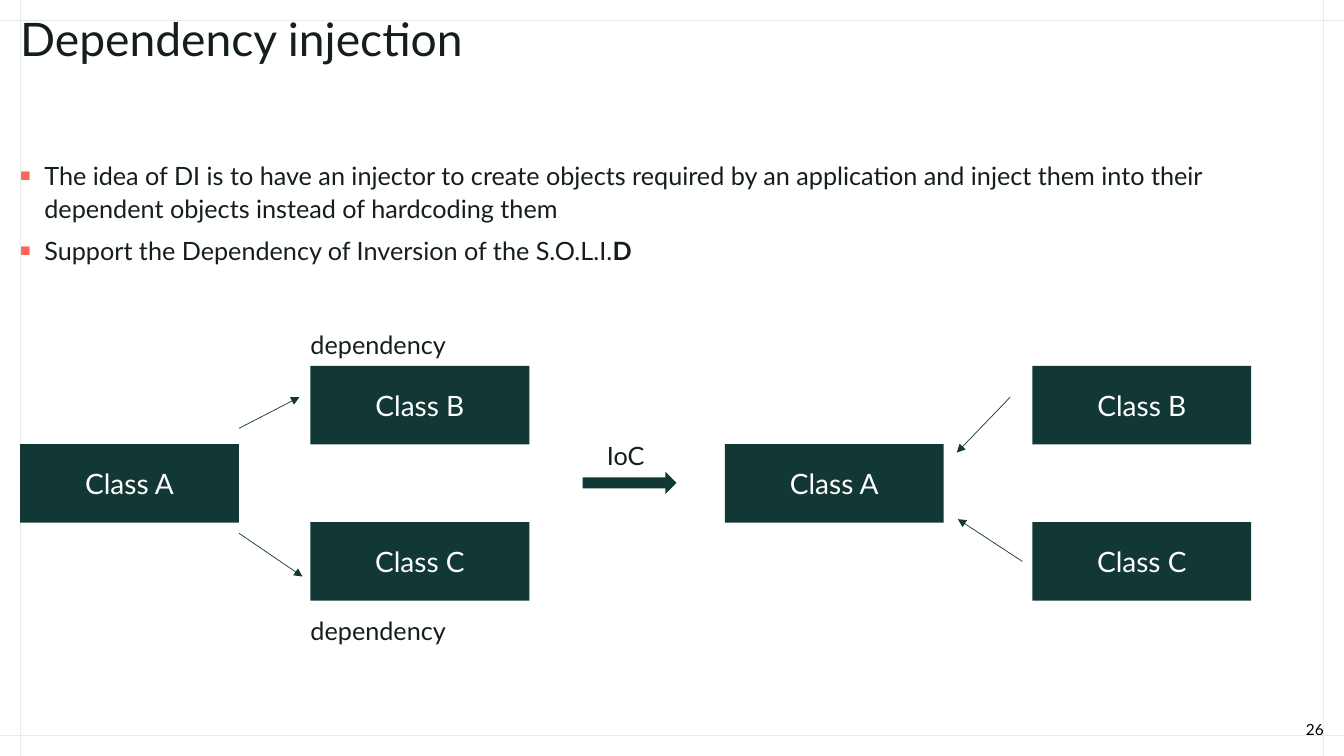
import pptx
import pptx.dml.color
import pptx.enum.shapes
import pptx.enum.text
import pptx.oxml
import pptx.oxml.ns
import pptx.util
from pptx.util import Inches

RGBColor = pptx.dml.color.RGBColor
Shape = pptx.enum.shapes.MSO_SHAPE
Align = pptx.enum.text.PP_ALIGN
Anchor = pptx.enum.text.MSO_ANCHOR

INK = RGBColor(0x14, 0x1E, 0x1E)
GREEN = RGBColor(0x12, 0x38, 0x36)
CORAL = RGBColor(0xFF, 0x63, 0x59)
GUIDE = RGBColor(0xE7, 0xEB, 0xEB)
WHITE = RGBColor(0xFF, 0xFF, 0xFF)
BLACK = RGBColor(0, 0, 0)

WIDTH, HEIGHT, MARGIN = 13.33, 7.5, 0.2
CLASS_WIDTH, CLASS_HEIGHT, CLASS_TOP = 2.17, 0.78, 3.63

TITLE = "Dependency injection"
BULLETS = [
    [("The idea of DI is to have an injector to create objects required by an application "
      "and inject them into their dependent objects instead of hardcoding them", False)],
    [("Support the Dependency of Inversion of the S.O.L.I.", False), ("D", True)],
]
CLASS_ROWS = {"Class B": 0, "Class A": 1, "Class C": 2}
DIAGRAMS = [
    {"Class A": 0.2, "Class B": 3.08, "Class C": 3.08},
    {"Class A": 7.19, "Class B": 10.24, "Class C": 10.24},
]
ARROWS = [
    (2.37, 4.25, 2.97, 3.94),
    (2.37, 5.29, 3.0, 5.72),
    (10.02, 3.94, 9.49, 4.49),
    (10.14, 5.57, 9.5, 5.15),
]
LABELS = [
    ("IoC", 6.02, 4.34, 0.65),
    ("dependency", 3.08, 3.24, 2.3),
    ("dependency", 3.08, 6.07, 2.3),
]


def write(frame, paragraphs, size=18, color=INK, align=Align.LEFT, anchor=Anchor.TOP,
          insets=(0, 0, 0, 0), spacing=1.0, after=0, bullet=False):
    """Fill a text frame with paragraphs, each a string or a list of (text, bold) spans."""
    frame.word_wrap = True
    frame.auto_size = pptx.enum.text.MSO_AUTO_SIZE.NONE
    frame.vertical_anchor = anchor
    (frame.margin_left, frame.margin_top,
     frame.margin_right, frame.margin_bottom) = map(Inches, insets)
    for index, spans in enumerate(paragraphs):
        para = frame.add_paragraph() if index else frame.paragraphs[0]
        para.alignment = align
        para.line_spacing = spacing
        para.space_before = pptx.util.Pt(0)
        para.space_after = pptx.util.Pt(after)
        if bullet:
            add_bullet(para)
        for text, bold in [(spans, False)] if isinstance(spans, str) else spans:
            span = para.add_run()
            span.text = text
            span.font.name = "Lato"
            span.font.size = pptx.util.Pt(size)
            span.font.bold = bold
            span.font.color.rgb = color


def add_bullet(para):
    """Give a paragraph a small coral square and a hanging indent."""
    properties = para._p.get_or_add_pPr()
    properties.set("marL", str(Inches(0.24)))
    properties.set("indent", str(Inches(-0.24)))
    namespace = pptx.oxml.ns.nsdecls("a")
    for markup in (f'<a:buClr {namespace}><a:srgbClr val="{CORAL}"/></a:buClr>',
                   f'<a:buSzPct {namespace} val="70000"/>',
                   f'<a:buFont {namespace} typeface="Arial"/>',
                   f'<a:buChar {namespace} char="■"/>'):
        properties.append(pptx.oxml.parse_xml(markup))


def place(shape, left, top, width, height):
    """Move and size a shape, in inches."""
    shape.left, shape.top = Inches(left), Inches(top)
    shape.width, shape.height = Inches(width), Inches(height)


def add_line(page, ends, color, arrow=False):
    """Draw a thin straight line, with an arrowhead at its end if asked."""
    line = page.shapes.add_connector(pptx.enum.shapes.MSO_CONNECTOR.STRAIGHT,
                                     *map(Inches, ends))
    line.line.color.rgb = color
    line.line.width = pptx.util.Pt(0.5)
    namespace = pptx.oxml.ns.nsdecls("a")
    if arrow:
        line.line._get_or_add_ln().append(
            pptx.oxml.parse_xml(f'<a:tailEnd {namespace} type="triangle"/>'))
    line._element.spPr.append(pptx.oxml.parse_xml(f"<a:effectLst {namespace}/>"))


def add_block(page, kind, left, top, width, height):
    """Add a plain green shape."""
    block = page.shapes.add_shape(kind, *map(Inches, (left, top, width, height)))
    block.shadow.inherit = False
    block.fill.solid()
    block.fill.fore_color.rgb = GREEN
    block.line.fill.background()
    return block


def add_text(page, text, left, top, width, height, **style):
    """Add a text box holding one paragraph."""
    box = page.shapes.add_textbox(*map(Inches, (left, top, width, height)))
    write(box.text_frame, [text], **style)


def main():
    """Build the dependency injection slide."""
    deck = pptx.Presentation()
    deck.slide_width, deck.slide_height = Inches(WIDTH), Inches(HEIGHT)
    page = deck.slides.add_slide(deck.slide_layouts[1])

    for x in (MARGIN, WIDTH - MARGIN):
        add_line(page, (x, 0, x, HEIGHT), GUIDE)
    for y in (MARGIN, HEIGHT - MARGIN):
        add_line(page, (0, y, WIDTH, y), GUIDE)

    title, body = page.placeholders
    place(title, MARGIN, 0.2, WIDTH - 2 * MARGIN, 1.04)
    write(title.text_frame, [TITLE], size=33, spacing=0.83)
    place(body, MARGIN, 1.56, WIDTH - 2 * MARGIN, 4.99)
    write(body.text_frame, BULLETS, spacing=1.1, after=6, bullet=True)
    add_text(page, "26", 10.16, 7.08, 2.97, 0.21, size=11, color=BLACK,
             align=Align.RIGHT, anchor=Anchor.BOTTOM, insets=(0, 0.28, 0, 0))

    for diagram in DIAGRAMS:
        for name, left in diagram.items():
            top = CLASS_TOP + CLASS_ROWS[name] * 0.775
            block = add_block(page, Shape.RECTANGLE, left, top, CLASS_WIDTH, CLASS_HEIGHT)
            write(block.text_frame, [name], size=20, color=WHITE, align=Align.CENTER,
                  anchor=Anchor.MIDDLE, insets=(0.08, 0.04, 0.08, 0.04))

    for ends in ARROWS:
        add_line(page, ends, GREEN, arrow=True)
    add_block(page, Shape.RIGHT_ARROW, 5.78, 4.68, 0.93, 0.22)
    for text, left, top, width in LABELS:
        add_text(page, text, left, top, width, 0.31, spacing=1.1, after=6)

    deck.save("out.pptx")


if __name__ == "__main__":
    main()
